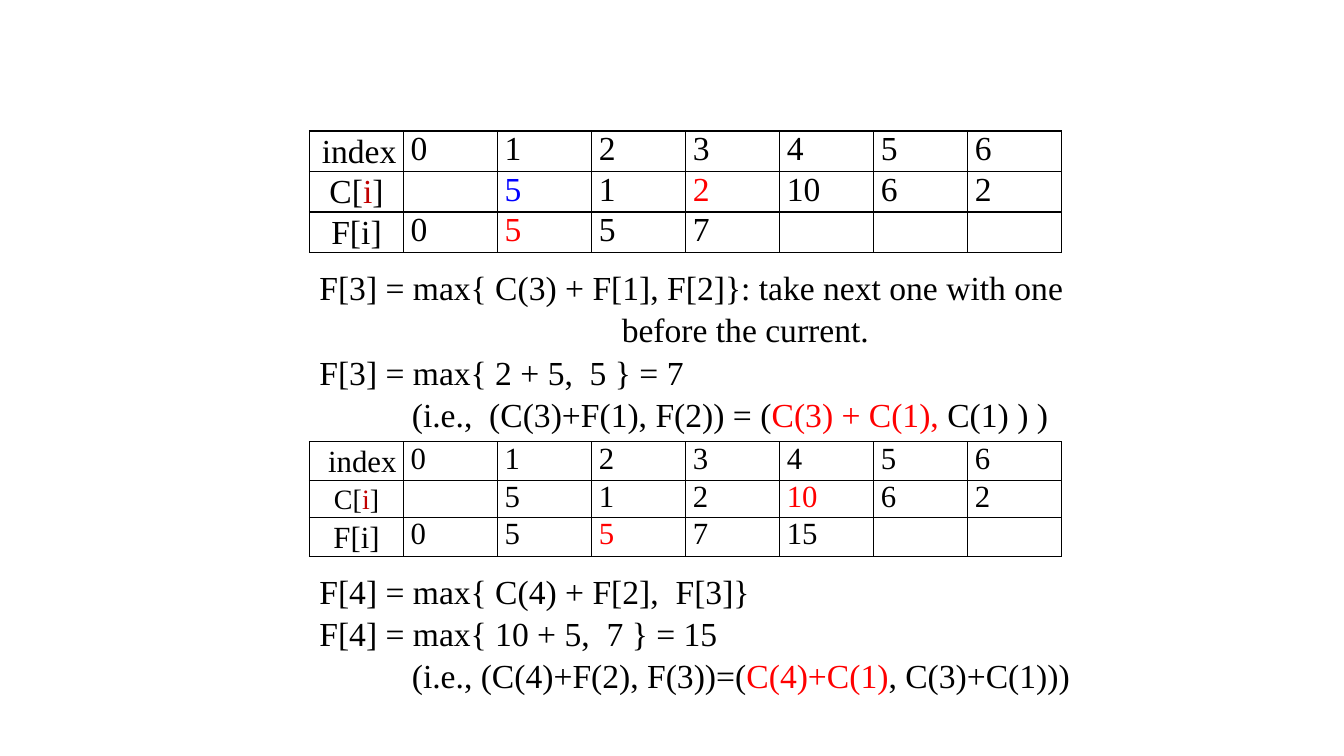
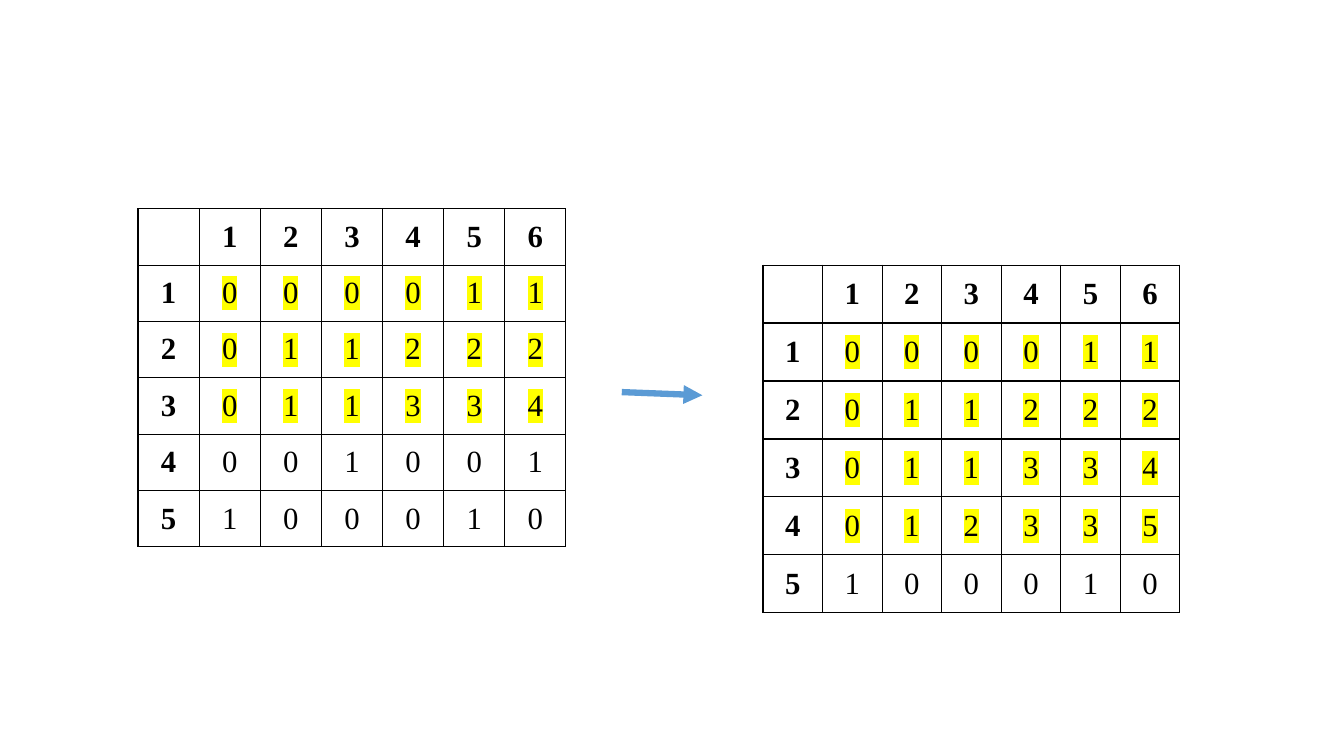
import pptx
import pptx.util
import pptx.dml.color
import pptx.enum.shapes
import pptx.enum.text
import pptx.oxml
import pptx.oxml.ns
from dataclasses import dataclass

Cm, Pt = pptx.util.Cm, pptx.util.Pt
RGB = pptx.dml.color.RGBColor.from_string
ALIGN = pptx.enum.text.PP_ALIGN
MIDDLE = pptx.enum.text.MSO_ANCHOR.MIDDLE
TOP = pptx.enum.text.MSO_ANCHOR.TOP


@dataclass(frozen=True)
class Theme:
    """Colours, type sizes and spacing shared by the slides."""
    font: str = "Times New Roman"
    ink: str = "000000"
    paper: str = "FFFFFF"
    red: str = "FF0000"
    blue: str = "0000FF"
    index: str = "C00000"
    highlight: str = "FFFF00"
    arrow: str = "5B9BD5"
    large: int = 24
    medium: int = 22
    small: int = 20
    leading: float = 1.05


T = Theme()

# Coloured runs are (text, colour) pairs; plain strings take the ink colour.
C_LABEL = ["C[", ("i", T.index), "]"]
INDEX_ROW = ["index", "0", "1", "2", "3", "4", "5", "6"]

# Lengths in centimetres
COIN_TABLES = [
    dict(top=3.3, row=1.02, size=T.large, c_size=T.large, rows=[
        INDEX_ROW,
        [C_LABEL, "", [("5", T.blue)], "1", [("2", T.red)], "10", "6", "2"],
        ["F[i]", "0", [("5", T.red)], "5", "7", "", "", ""]]),
    dict(top=11.13, row=0.93, size=T.medium, c_size=T.small, rows=[
        INDEX_ROW,
        [C_LABEL, "", "5", "1", "2", [("10", T.red)], "6", "2"],
        ["F[i]", "0", "5", [("5", T.red)], "7", "15", "", ""]]),
]
COIN_LEFT, COIN_COLUMN = 7.8, 2.37

# Each paragraph: (left indent, first-line offset, content)
COIN_NOTES = [
    dict(top=6.55, width=20.7, height=4.37, lines=[
        (7.62, -7.62, "F[3] = max{ C(3) + F[1], F[2]}: take next one with one "
                      "before the current."),
        (0, 0, "F[3] = max{ 2 + 5,  5 } = 7"),
        (2.33, 0, ["(i.e.,  (C(3)+F(1), F(2)) = (",
                   ("C(3) + C(1),", T.red), " C(1) ) )"])]),
    dict(top=14.2, width=20.47, height=3.33, lines=[
        (0, 0, "F[4] = max{ C(4) + F[2],  F[3]}"),
        (0, 0, "F[4] = max{ 10 + 5,  7 } = 15"),
        (2.33, 0, ["(i.e., (C(4)+F(2), F(3))=(",
                   ("C(4)+C(1)", T.red), ", C(3)+C(1)))"])]),
]

# Digits of each board row; the first "done" rows are highlighted
BOARDS = [
    dict(left=19.23, top=6.68, column=1.5, row=1.46, done=4,
         rows=["000011", "011222", "011334", "012335", "100010"]),
    dict(left=3.48, top=5.26, column=1.54, row=1.42, done=3,
         rows=["000011", "011222", "011334", "001001", "100010"]),
]
ARROW = (15.67, 9.88, 17.7, 9.96)


def add_xml(parent, tag, body="", **attributes):
    """Append a DrawingML element to parent."""
    attrs = "".join(f' {k}="{v}"' for k, v in attributes.items())
    ns = pptx.oxml.ns.nsdecls("a")
    parent.append(pptx.oxml.parse_xml(f"<a:{tag} {ns}{attrs}>{body}</a:{tag}>"))


def write(p, content, size, bold=False, highlight=False):
    """Fill a paragraph with plain or coloured runs."""
    p.font.name, p.font.size, p.font.bold = T.font, Pt(size), bold
    p.font.color.rgb = RGB(T.ink)
    for part in [content] if isinstance(content, str) else content:
        text, colour = (part, T.ink) if isinstance(part, str) else part
        if not text:
            continue
        r = p.add_run()
        r.text = text
        if colour != T.ink or highlight:
            r.font.color.rgb = RGB(colour)
        if highlight:
            add_xml(r.font._element, "highlight",
                    f'<a:srgbClr val="{T.highlight}"/>')


def style_cell(cell, anchor):
    """Give a cell its margins, thin black borders and white fill."""
    cell.margin_left = cell.margin_right = Cm(0.18)
    cell.margin_top = cell.margin_bottom = 0
    cell.vertical_anchor = anchor
    for side in ("lnL", "lnR", "lnT", "lnB"):
        add_xml(cell._tc.get_or_add_tcPr(), side,
                f'<a:solidFill><a:srgbClr val="{T.ink}"/></a:solidFill>',
                w=Pt(1))
    cell.fill.solid()
    cell.fill.fore_color.rgb = RGB(T.paper)


def add_grid(s, left, top, column, row, shape):
    """Add an unstyled table of equal cells and return it."""
    n_rows, n_cols = shape
    table = s.shapes.add_table(n_rows, n_cols, Cm(left), Cm(top),
                               Cm(column * n_cols), Cm(row * n_rows)).table
    table.first_row = table.horz_banding = False
    for c in table.columns:
        c.width = Cm(column)
    for r in table.rows:
        r.height = Cm(row)
    return table


def add_coin_table(s, top, row, size, c_size, rows):
    """Add a table of indices, coin values and best sums."""
    table = add_grid(s, COIN_LEFT, top, COIN_COLUMN, row,
                     (len(rows), len(rows[0])))
    for i, contents in enumerate(rows):
        for j, content in enumerate(contents):
            cell = table.cell(i, j)
            style_cell(cell, TOP if j else MIDDLE)
            p = cell.text_frame.paragraphs[0]
            write(p, content, c_size if content is C_LABEL else size)
            if j == 0:
                p.alignment = ALIGN.CENTER if i else ALIGN.RIGHT
                p.line_spacing = T.leading


def add_notes_box(s, top, width, height, lines):
    """Add the worked formula below a coin table."""
    tf = s.shapes.add_textbox(Cm(COIN_LEFT), Cm(top), Cm(width),
                              Cm(height)).text_frame
    tf.word_wrap = True
    for i, (indent, first, content) in enumerate(lines):
        p = tf.add_paragraph() if i else tf.paragraphs[0]
        p.line_spacing = T.leading
        write(p, content, T.large)
        pPr = p._p.get_or_add_pPr()
        pPr.set("marL", str(Cm(indent)))
        pPr.set("indent", str(Cm(first)))


def add_board(s, left, top, column, row, done, rows):
    """Add a numbered board with its finished rows highlighted."""
    header = ["", *(str(n + 1) for n in range(len(rows[0])))]
    grid = [header] + [[str(n), *digits] for n, digits in enumerate(rows, 1)]
    table = add_grid(s, left, top, column, row, (len(grid), len(header)))
    for i, contents in enumerate(grid):
        for j, content in enumerate(contents):
            cell = table.cell(i, j)
            style_cell(cell, MIDDLE)
            p = cell.text_frame.paragraphs[0]
            p.alignment = ALIGN.CENTER
            write(p, content, T.medium, bold=i == 0 or j == 0,
                  highlight=j > 0 and 0 < i <= done)


def add_arrow(s, x1, y1, x2, y2):
    """Add the thick arrow between the boards."""
    line = s.shapes.add_connector(pptx.enum.shapes.MSO_CONNECTOR.STRAIGHT,
                                  Cm(x1), Cm(y1), Cm(x2), Cm(y2))
    line.line.color.rgb = RGB(T.arrow)
    line.line.width = Pt(4.5)
    add_xml(line.line._get_or_add_ln(), "tailEnd", type="triangle")
    add_xml(line._element.spPr, "effectLst")


prs = pptx.Presentation()
prs.slide_width, prs.slide_height = Cm(33.87), Cm(19.05)
blank = prs.slide_layouts[6]

s = prs.slides.add_slide(blank)
for coins, notes in zip(COIN_TABLES, COIN_NOTES):
    add_coin_table(s, **coins)
    add_notes_box(s, **notes)

s = prs.slides.add_slide(blank)
for board in BOARDS:
    add_board(s, **board)
add_arrow(s, *ARROW)

prs.save("out.pptx")
